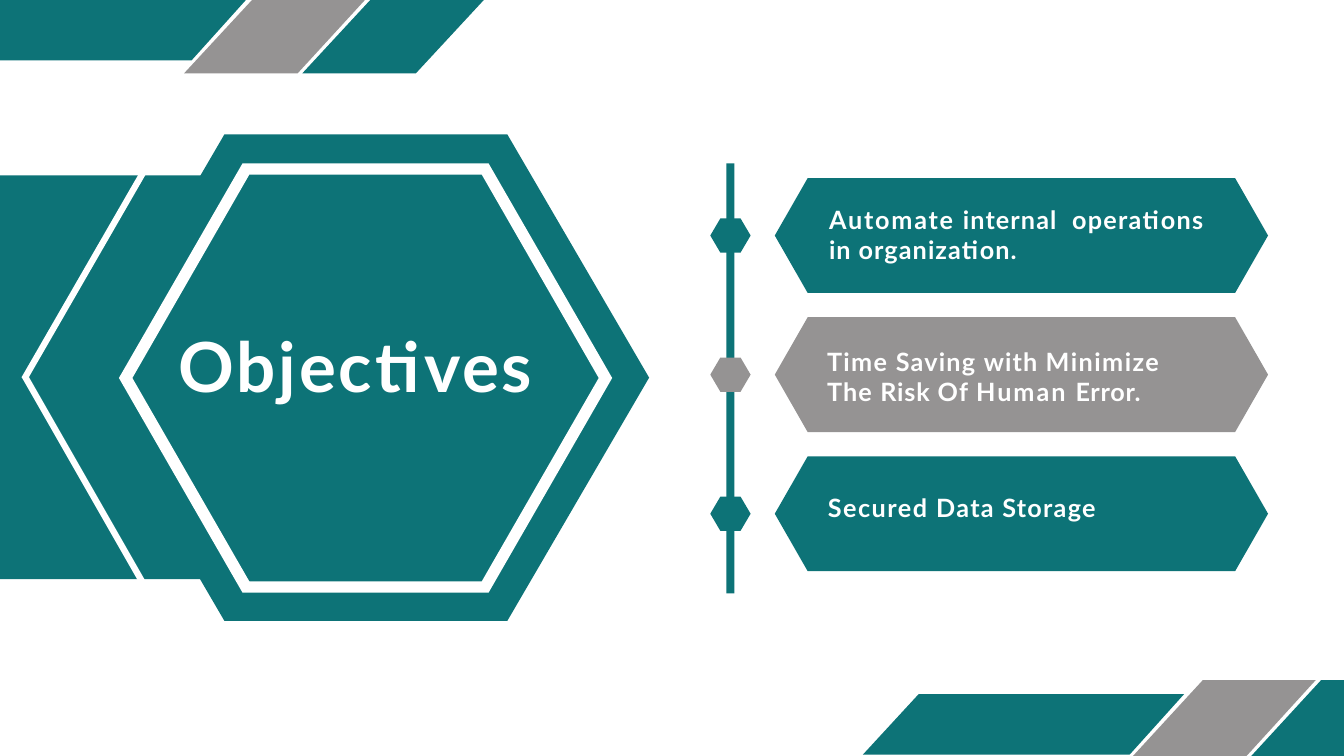
from lxml.etree import SubElement
from pptx import Presentation
from pptx.dml.color import RGBColor
from pptx.enum.shapes import MSO_CONNECTOR as Connector, MSO_SHAPE as Shape
from pptx.enum.text import MSO_ANCHOR as Anchor, MSO_AUTO_SIZE as AutoSize, PP_ALIGN as Align
from pptx.oxml.ns import qn
from pptx.util import Inches, Pt

TEAL = RGBColor(0x0D, 0x73, 0x77)
GREY = RGBColor(0x95, 0x93, 0x93)
WHITE = RGBColor(0xFF, 0xFF, 0xFF)

ROW_COLORS = [TEAL, GREY, TEAL]
ROW_TOP, ROW_PITCH = 2.65, 2.07
BANDS = [
    (TEAL, [(0, 0), (3.66, 0), (2.85, 0.9), (0, 0.9)]),
    (TEAL, [(13.67, 10.33), (17.62, 10.33), (16.81, 11.23), (12.84, 11.23)]),
    (GREY, [(3.75, 0), (5.43, 0), (4.43, 1.09), (2.74, 1.09)]),
    (GREY, [(17.9, 10.12), (19.58, 10.12), (18.55, 11.25), (16.86, 11.25)]),
    (TEAL, [(5.51, 0), (7.2, 0), (6.19, 1.09), (4.5, 1.09)]),
    (TEAL, [(19.66, 10.12), (20, 10.12), (20, 11.25), (18.62, 11.25)]),
]
AUTOMATE = [("Automate ", 1.9), ("internal  ", 1.2), ("operations ", 1.4),
            ("in ", 0.9), ("organization.", 1.2)]
SAVING = [("Time ", 1.4), ("Saving ", 1.3), ("with ", 1.2), ("Minimize ", 1.6),
          ("The ", 1.2), ("Risk ", 0.9), ("Of ", 1.3), ("Human ", 2.1), ("Error.", 0.8)]
STORAGE = [("Secured ", 1.6), ("Data Storage", 1.4)]


def hexagon(left, top, width, height, cut):
    right, bottom, middle = left + width, top + height, top + height / 2
    return [(left, middle), (left + cut, top), (right - cut, top),
            (right, middle), (right - cut, bottom), (left + cut, bottom)]


class Painter:
    """Draws styled elements on the current slide."""

    font = "Lato"

    def __init__(self, page):
        self.page = page

    def paint(self, shape, color):
        shape.shadow.inherit = False
        shape.fill.solid()
        shape.fill.fore_color.rgb = color
        shape.line.fill.background()

    def polygon(self, color, *outlines):
        builder = None
        for outline in outlines:
            start, *rest = [(Inches(x), Inches(y)) for x, y in outline]
            if builder is None:
                builder = self.page.shapes.build_freeform(*start)
            else:
                builder.move_to(*start)
            builder.add_line_segments(rest, close=True)
        self.paint(builder.convert_to_shape(), color)

    def rectangle(self, color, *place):
        self.paint(self.page.shapes.add_shape(Shape.RECTANGLE, *map(Inches, place)), color)

    def line(self, color, weight, *ends):
        line = self.page.shapes.add_connector(Connector.STRAIGHT, *map(Inches, ends))
        line.line.color.rgb = color
        line.line.width = Pt(weight)
        SubElement(line._element.spPr, qn("a:effectLst"))

    def fill_text(self, box, place, spans, size, inset, before, spacing=None):
        box.left, box.top, box.width, box.height = map(Inches, place)
        frame = box.text_frame
        frame.word_wrap = True
        frame.auto_size = AutoSize.SHAPE_TO_FIT_TEXT
        frame.vertical_anchor = Anchor.TOP
        frame.margin_left = frame.margin_right = frame.margin_bottom = 0
        frame.margin_top = Inches(inset)
        para = frame.paragraphs[0]
        para.alignment = Align.LEFT
        para.space_before = Pt(before)
        para.line_spacing = spacing
        para._p.get_or_add_pPr().set("marL", str(Inches(0.01)))
        for text, tracking in spans:
            span = para.add_run()
            span.text = text
            span.font.name = self.font
            span.font.size = Pt(size)
            span.font.bold = True
            span.font.color.rgb = WHITE
            span._r.get_or_add_rPr().set("spc", str(round(tracking * 100)))

    def text(self, place, *style):
        self.fill_text(self.page.shapes.add_textbox(0, 0, 0, 0), place, *style)

    def title(self, place, *style):
        box = self.page.shapes.title
        box._element.getparent().append(box._element)
        self.fill_text(box, place, *style)


def main():
    deck = Presentation()
    deck.slide_width, deck.slide_height = Inches(20), Inches(11.25)
    painter = Painter(deck.slides.add_slide(deck.slide_layouts[5]))

    painter.polygon(TEAL, hexagon(1.23, 2, 8.43, 7.24, 2.11))
    painter.rectangle(TEAL, 10.81, 2.43, 0.12, 6.4)
    for row, color in enumerate(ROW_COLORS):
        top = ROW_TOP + row * ROW_PITCH
        painter.polygon(color, hexagon(10.57, top + 0.6, 0.6, 0.51, 0.15))
        painter.polygon(color, hexagon(11.53, top, 7.34, 1.71, 0.49))
    painter.rectangle(TEAL, 0, 2.61, 6.78, 6.01)
    for color, outline in BANDS:
        painter.polygon(color, outline)
    painter.polygon(WHITE, hexagon(1.77, 2.43, 7.34, 6.39, 1.84),
                    hexagon(1.97, 2.6, 6.94, 6.05, 1.74))
    painter.line(WHITE, 6.75, 2.17, 8.75, 0.37, 5.6)
    painter.line(WHITE, 6.75, 0.36, 5.64, 2.17, 2.5)

    painter.text((2.65, 4.8, 5.58, 1.27), [("Objectives", 3.1)], 74, 0.02, 1.4)
    painter.title((12.33, 3.01, 5.6, 0.93), AUTOMATE, 27, 0.03, 2, Pt(32.3))
    painter.text((12.31, 7.31, 4.55, 0.48), STORAGE, 27, 0.01, 1)
    painter.text((12.3, 5.13, 5.6, 0.93), SAVING, 27, 0.03, 2, Pt(32.3))
    deck.save("out.pptx")


if __name__ == "__main__":
    main()
